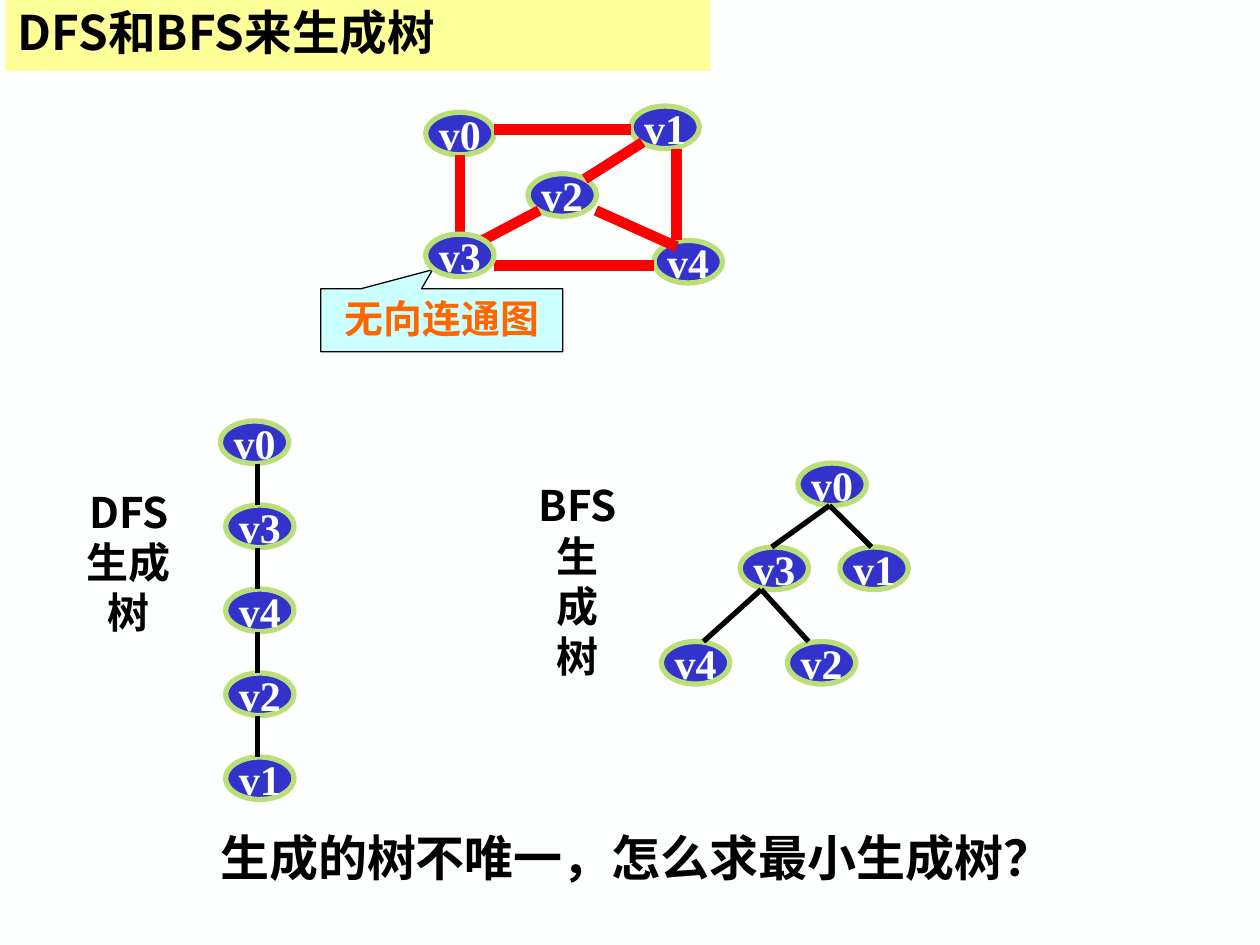
from itertools import pairwise

from lxml.etree import SubElement
from pptx import Presentation
from pptx.dml.color import RGBColor
from pptx.enum.shapes import MSO_CONNECTOR, MSO_SHAPE
from pptx.enum.text import MSO_ANCHOR, MSO_AUTO_SIZE, PP_ALIGN
from pptx.oxml.ns import qn
from pptx.util import Inches, Pt

SANS, SERIF = "Noto Sans CJK SC", "Times New Roman"
NODE_W, NODE_H = 13, 8.1
rgb = RGBColor.from_string

prs = Presentation()
prs.slide_width, prs.slide_height = Inches(10), Inches(7.5)
CELL = prs.slide_width / 240  # the slide is a grid of 240 columns by 180 rows
s = prs.slides.add_slide(prs.slide_layouts[5])
s.background.fill.solid()
s.background.fill.fore_color.rgb = rgb("FEFFFF")


def grid(*cells):
    return [round(c * CELL) for c in cells]


def write(sp, text, size, color="000000", font=SANS, align=PP_ALIGN.CENTER,
          anchor=MSO_ANCHOR.TOP, wrap=True):
    """Fill a shape with one bold run, Latin in font and Chinese in SANS."""
    tf = sp.text_frame
    tf.auto_size = MSO_AUTO_SIZE.NONE
    tf.word_wrap, tf.vertical_anchor = wrap, anchor
    p = tf.paragraphs[0]
    p.alignment = align
    r = p.add_run()
    r.text = text
    r.font.size, r.font.bold, r.font.name = Pt(size), True, font
    r.font.color.rgb = rgb(color)
    SubElement(r.font._element, qn("a:ea")).set("typeface", SANS)
    return p


# Title
title = s.shapes.title
title.left, title.top, title.width, title.height = grid(1, 0, 134.2, 13.5)
title.fill.solid()
title.fill.fore_color.rgb = rgb("FFFF99")
p = write(title, "DFS和BFS来生成树", 27.2, align=PP_ALIGN.LEFT, anchor=MSO_ANCHOR.MIDDLE)
p.line_spacing = 0.9

# Callout naming the graph
callout = s.shapes.add_shape(MSO_SHAPE.RECTANGULAR_CALLOUT, *grid(61.1, 55, 46.1, 12))
callout.shadow.inherit = False
callout.adjustments[0], callout.adjustments[1] = -0.038, -0.802
callout.fill.solid()
callout.fill.fore_color.rgb = rgb("CCFFFF")
callout.line.color.rgb = rgb("000000")
callout.line.width = Pt(0.75)
write(callout, "无向连通图", 22.2, "FF6600", SERIF)

# Free text
for text, box, size, font, align in [
    ("DFS生成树", (11, 91.4, 27.1, 31.2), 24, SANS, PP_ALIGN.CENTER),
    ("BFS生成树", (100.1, 90.2, 19.9, 40.8), 24, SANS, PP_ALIGN.CENTER),
    ("生成的树不唯一，怎么求最小生成树？", (39.6, 156.5, 178.3, 13.7), 28, SERIF, PP_ALIGN.LEFT),
]:
    write(s.shapes.add_textbox(*grid(*box)), text, size, font=font, align=align)

# Nodes as (name, column, row), edges as (x1, y1, x2, y2)
graph_nodes = [("v0", 81.1, 21.4), ("v1", 120.2, 20.2), ("v2", 100.6, 33.1),
               ("v4", 124.6, 45.8), ("v3", 81.1, 44.6)]
graph_edges = [(94.1, 24.7, 120.2, 24.7), (87.6, 29.5, 87.6, 44.6),
               (94.1, 50.6, 124.6, 50.6), (113.5, 40.1, 128.9, 47),
               (102.7, 40.1, 91.9, 45.8), (122.4, 27.1, 111.4, 34.1),
               (128.9, 28.3, 128.9, 45.8)]

dfs_nodes = [(name, 42 if i == 0 else 43, 80.2 + 16 * i)
             for i, name in enumerate(["v0", "v3", "v4", "v2", "v1"])]
dfs_edges = [(49, a[2] + NODE_H, 49, b[2]) for a, b in pairwise(dfs_nodes)]

bfs_nodes = [("v0", 152, 88.2), ("v1", 160, 104.2), ("v3", 141, 104.2),
             ("v2", 150, 122.2), ("v4", 126, 122.2)]
bfs_edges = [(158, 96.3, 147, 104.2), (158, 96.3, 166, 104.2),
             (145, 112.3, 134, 122.2), (145, 112.3, 154, 122.2)]

# In the graph only v3 lies over the edges
for under, edges, over, color, width in [
    (graph_nodes[:-1], graph_edges, graph_nodes[-1:], "FF0000", 6),
    (dfs_nodes, dfs_edges, [], "000000", 3),
    (bfs_nodes, bfs_edges, [], "000000", 3),
]:
    for layer in (under, edges, over):
        for item in layer:
            if layer is edges:
                line = s.shapes.add_connector(MSO_CONNECTOR.STRAIGHT, *grid(*item))
                line.line.color.rgb = rgb(color)
                line.line.width = Pt(width)
                SubElement(line._element.spPr, qn("a:effectLst"))
                continue
            name, col, row = item
            node = s.shapes.add_shape(MSO_SHAPE.OVAL, *grid(col, row, NODE_W, NODE_H))
            node.shadow.inherit = False
            node.fill.solid()
            node.fill.fore_color.rgb = rgb("3333CC")
            node.line.color.rgb = rgb("BADE78")
            node.line.width = Pt(3)
            write(node, name, 24, "FEFFFF", SERIF, anchor=MSO_ANCHOR.MIDDLE, wrap=False)

prs.save("out.pptx")
